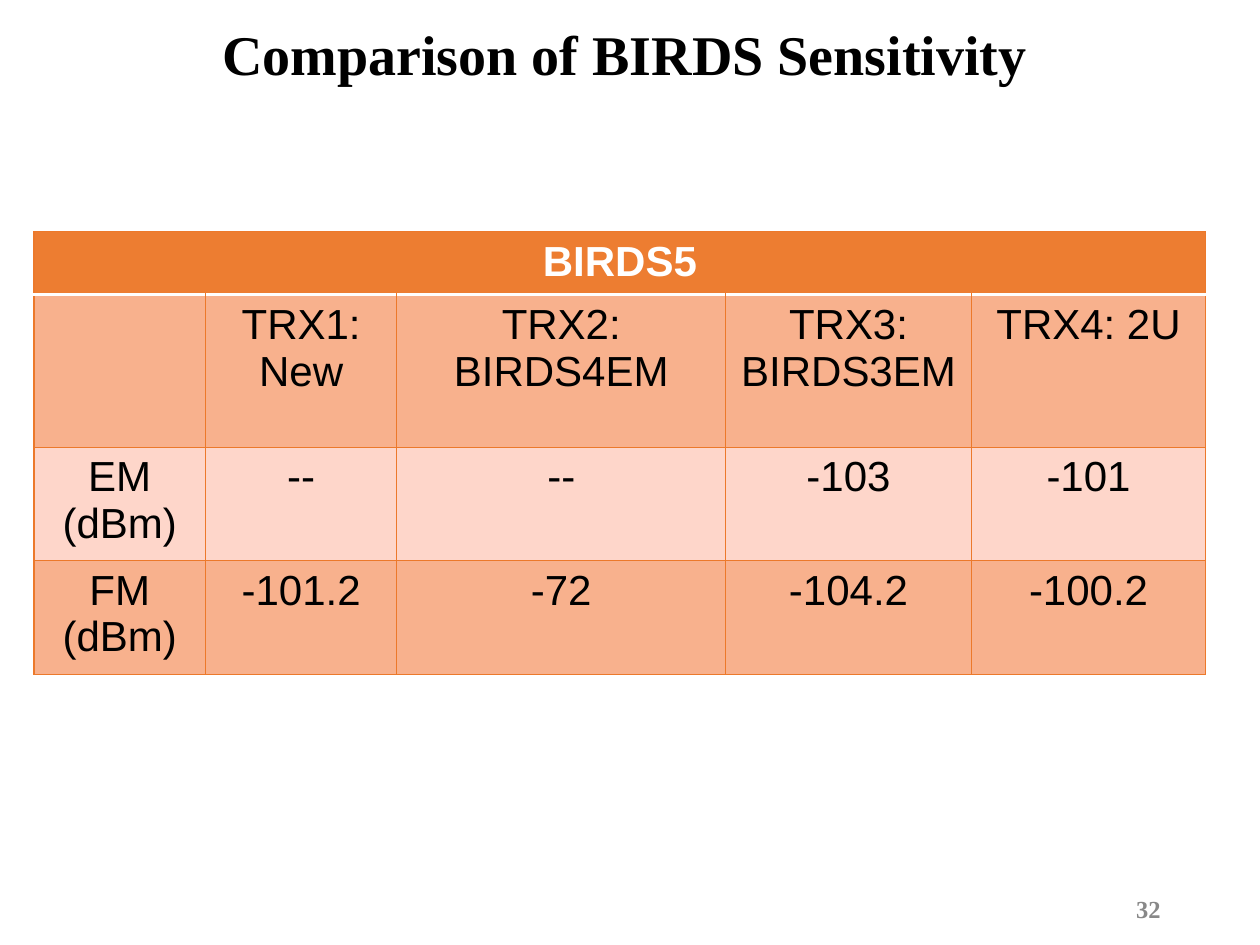
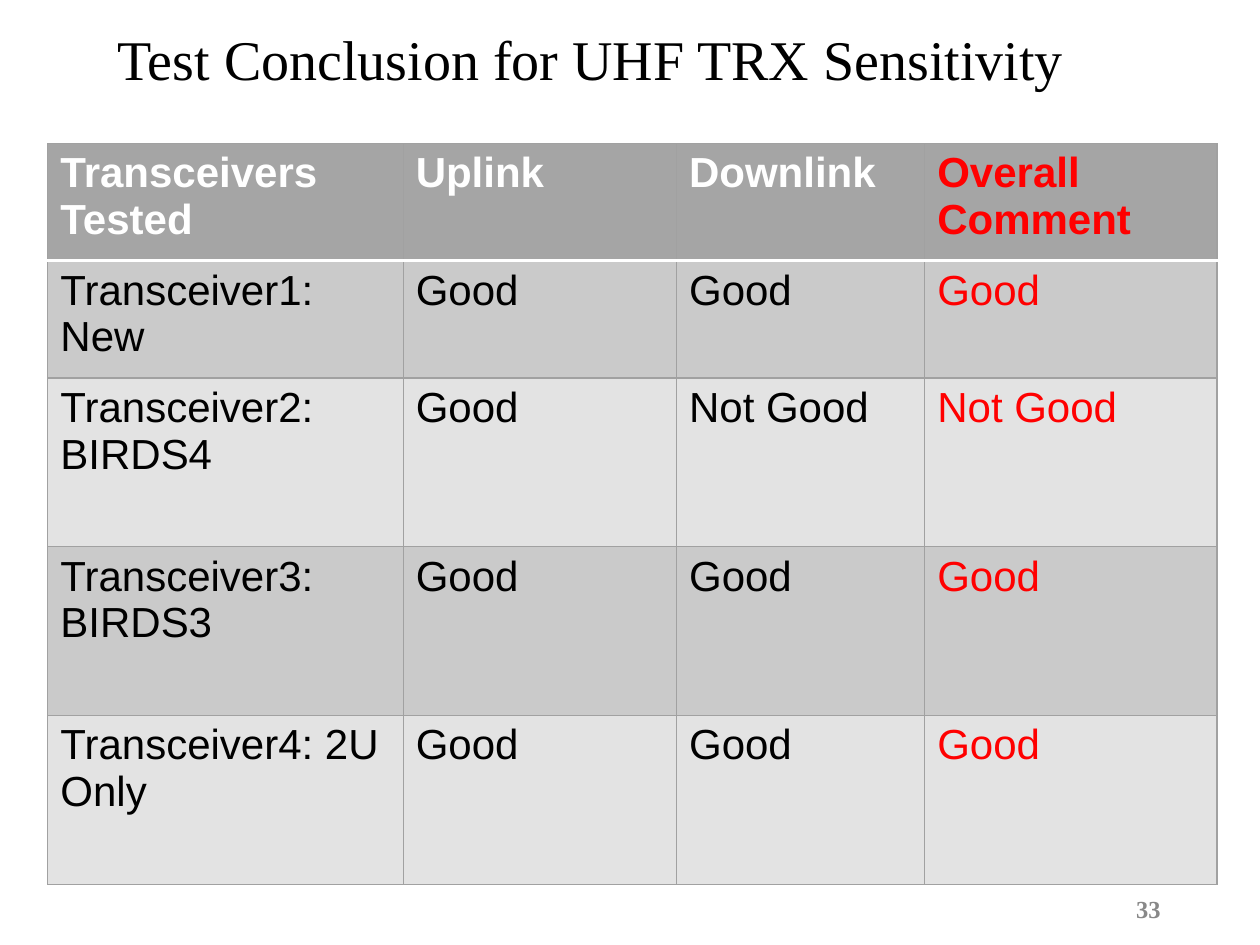
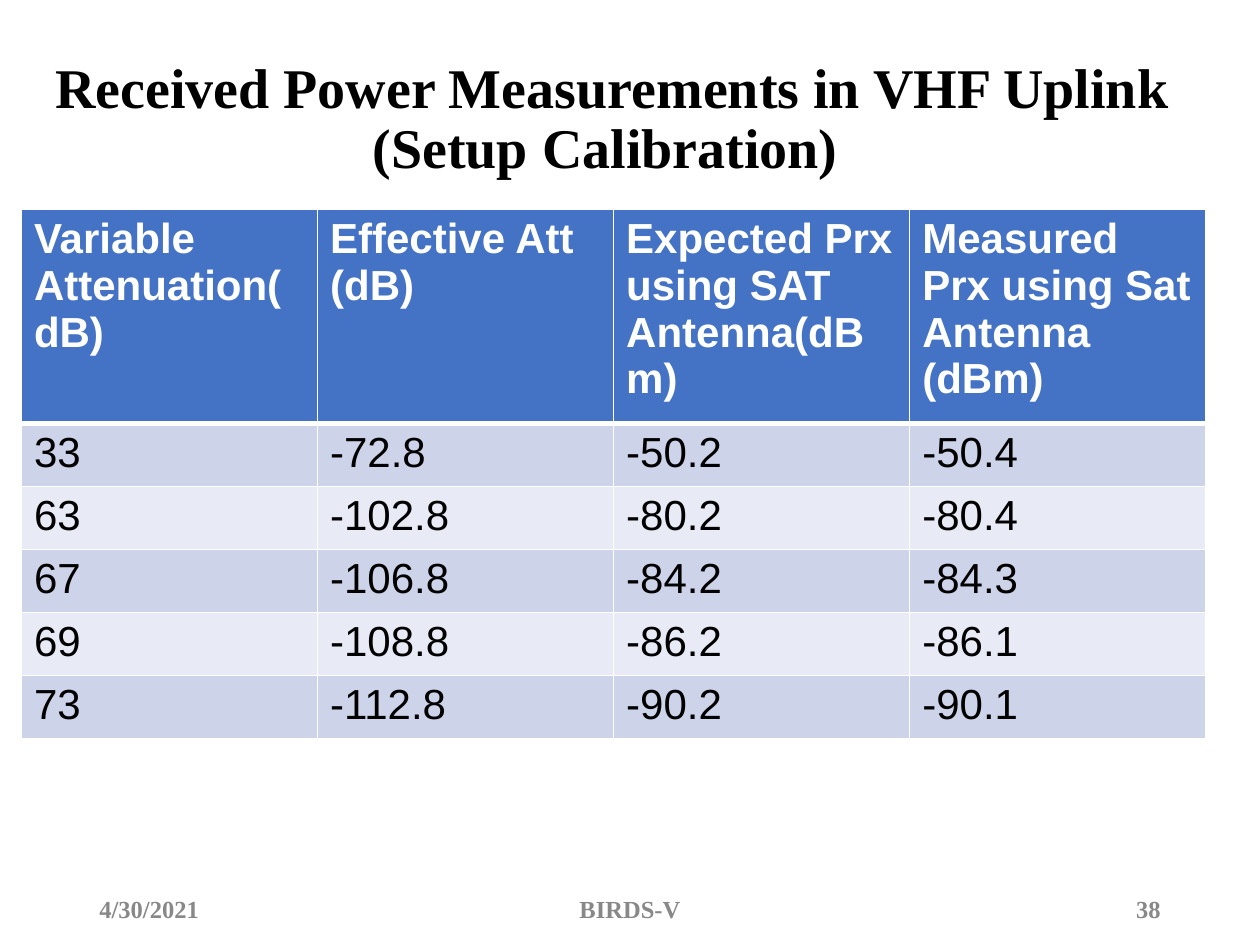
from dataclasses import dataclass

from pptx import Presentation
from pptx.dml.color import RGBColor
from pptx.enum.text import MSO_ANCHOR, PP_ALIGN
from pptx.oxml.ns import qn
from pptx.util import Inches, Pt
from lxml.etree import SubElement


@dataclass(frozen=True)
class Theme:
    title_font: str = "Times New Roman"
    table_font: str = "Arial"
    title_size: int = 32
    table_size: int = 24
    footer_size: int = 14
    ink: str = "000000"
    white: str = "FFFFFF"
    muted: str = "888888"
    emphasis: str = "FF0000"


@dataclass(frozen=True)
class TableLook:
    header: str
    bands: tuple
    border: str
    border_width: float
    header_rule: float


THEME = Theme()
ORANGE = TableLook("ED7D31", ("F8B18D", "FED6CA"), "EC792B", 0.75, 2)
GRAY = TableLook("A5A5A5", ("CACACA", "E3E3E3"), "A1A1A1", 0.75, 2)
BLUE = TableLook("4472C4", ("CDD4EA", "E8EBF5"), "FFFFFF", 1, 3)


def add_run(paragraph, text, font, size, color, bold):
    run = paragraph.add_run()
    run.text = text
    run.font.name = font
    run.font.size = Pt(size)
    run.font.bold = bold
    run.font.color.rgb = RGBColor.from_string(color)


def add_line_of_text(slide, box, text, size, color, bold, align):
    frame = slide.shapes.add_textbox(*map(Inches, box)).text_frame
    frame.word_wrap = True
    frame.vertical_anchor = MSO_ANCHOR.MIDDLE
    paragraph = frame.paragraphs[0]
    paragraph.alignment = align
    add_run(paragraph, text, THEME.title_font, size, color, bold)
    return paragraph


def add_title(slide, left, top, text, bold=True):
    title = add_line_of_text(slide, (left, top, 9.38, 0.91), text,
                             THEME.title_size, THEME.ink, bold, PP_ALIGN.CENTER)
    title.line_spacing = 0.9


def add_footer(slide, number, date=None, project=None):
    parts = [
        (0.69, 2.25, date, PP_ALIGN.LEFT),
        (3.31, 3.38, project, PP_ALIGN.CENTER),
        (7.06, 2.25, number, PP_ALIGN.RIGHT),
    ]
    for left, width, text, align in parts:
        if text:
            add_line_of_text(slide, (left, 7.01, width, 0.4), text,
                             THEME.footer_size, THEME.muted, True, align)


def set_borders(cell, **sides):
    """Draw cell edges, given in schema order as side=(color, points)."""
    properties = cell._tc.get_or_add_tcPr()
    for side, (color, points) in sides.items():
        line = SubElement(properties, qn(f"a:{side}"), w=str(Pt(points)))
        fill = SubElement(line, qn("a:solidFill"))
        SubElement(fill, qn("a:srgbClr"), val=color)


def fill_cell(cell, text, color, bold, align):
    for index, line in enumerate(text.split("\n") if text else []):
        frame = cell.text_frame
        paragraph = frame.add_paragraph() if index else frame.paragraphs[0]
        paragraph.alignment = align
        add_run(paragraph, line, THEME.table_font, THEME.table_size, color, bold)


def add_data_table(slide, left, top, widths, heights, rows, look,
                   align=PP_ALIGN.LEFT, emphasis_column=None):
    table = slide.shapes.add_table(
        len(heights), len(widths), Inches(left), Inches(top),
        Inches(sum(widths)), Inches(sum(heights))).table
    table.first_row = table.horz_banding = False
    for column, width in zip(table.columns, widths):
        column.width = Inches(width)
    for row, height in zip(table.rows, heights):
        row.height = Inches(height)

    edge = (look.border, look.border_width)
    rule = (THEME.white, look.header_rule)
    for r, texts in enumerate(rows):
        is_header = r == 0
        background = look.header if is_header else look.bands[(r - 1) % 2]
        for c in range(len(widths)):
            cell = table.cell(r, c)
            set_borders(cell, lnL=edge, lnR=edge,
                        lnT=rule if r == 1 else edge,
                        lnB=rule if is_header else edge)
            cell.fill.solid()
            cell.fill.fore_color.rgb = RGBColor.from_string(background)
            if c < len(texts):
                color = THEME.white if is_header else THEME.ink
                if c == emphasis_column:
                    color = THEME.emphasis
                fill_cell(cell, texts[c], color, is_header, align)
    if len(rows[0]) == 1:
        table.cell(0, 0).merge(table.cell(0, len(widths) - 1))


def build_sensitivity_comparison(slide):
    add_title(slide, 0.27, 0, "Comparison of BIRDS Sensitivity")
    add_footer(slide, "32")
    rows = [
        ("BIRDS5",),
        ("", "TRX1: New", "TRX2: BIRDS4EM", "TRX3: BIRDS3EM", "TRX4: 2U"),
        ("EM (dBm)", "--", "--", "-103", "-101"),
        ("FM (dBm)", "-101.2", "-72", "-104.2", "-100.2"),
    ]
    add_data_table(slide, 0.27, 1.84, (1.36, 1.52, 2.61, 1.95, 1.86),
                   (0.5, 1.21, 0.84, 0.84), rows, ORANGE, PP_ALIGN.CENTER)


def build_test_conclusion(slide):
    add_title(slide, 0, 0.04, "Test Conclusion for UHF TRX Sensitivity", bold=False)
    add_footer(slide, "33")
    rows = [
        ("Transceivers Tested", "Uplink", "Downlink", "Overall Comment"),
        ("Transceiver1: New", "Good", "Good", "Good"),
        ("Transceiver2: BIRDS4", "Good", "Not Good", "Not Good"),
        ("Transceiver3: BIRDS3", "Good", "Good", "Good"),
        ("Transceiver4: 2U Only", "Good", "Good", "Good"),
    ]
    add_data_table(slide, 0.38, 1.14, (2.82, 2.17, 1.97, 2.32),
                   [0.93] * 2 + [1.34] * 3, rows, GRAY, emphasis_column=3)


def build_received_power(slide):
    rows = [
        ("Variable Attenuation(dB)", "Effective Att (dB)",
         "Expected Prx using SAT Antenna(dBm)",
         "Measured Prx using Sat Antenna\n(dBm)"),
        ("33", "-72.8", "-50.2", "-50.4"),
        ("63", "-102.8", "-80.2", "-80.4"),
        ("67", "-106.8", "-84.2", "-84.3"),
        ("69", "-108.8", "-86.2", "-86.1"),
        ("73", "-112.8", "-90.2", "-90.1"),
    ]
    add_data_table(slide, 0.17, 1.66, [2.35] * 4, [1.69] + [0.5] * 5, rows, BLUE)
    add_title(slide, 0.17, 0.5,
              "Received Power Measurements in VHF Uplink (Setup Calibration) ")
    add_footer(slide, "38", date="4/30/2021", project="BIRDS-V")


def main():
    deck = Presentation()
    deck.slide_width, deck.slide_height = Inches(10), Inches(7.5)
    blank = deck.slide_layouts[6]
    for build in (build_sensitivity_comparison, build_test_conclusion,
                  build_received_power):
        build(deck.slides.add_slide(blank))
    deck.save("out.pptx")


if __name__ == "__main__":
    main()
